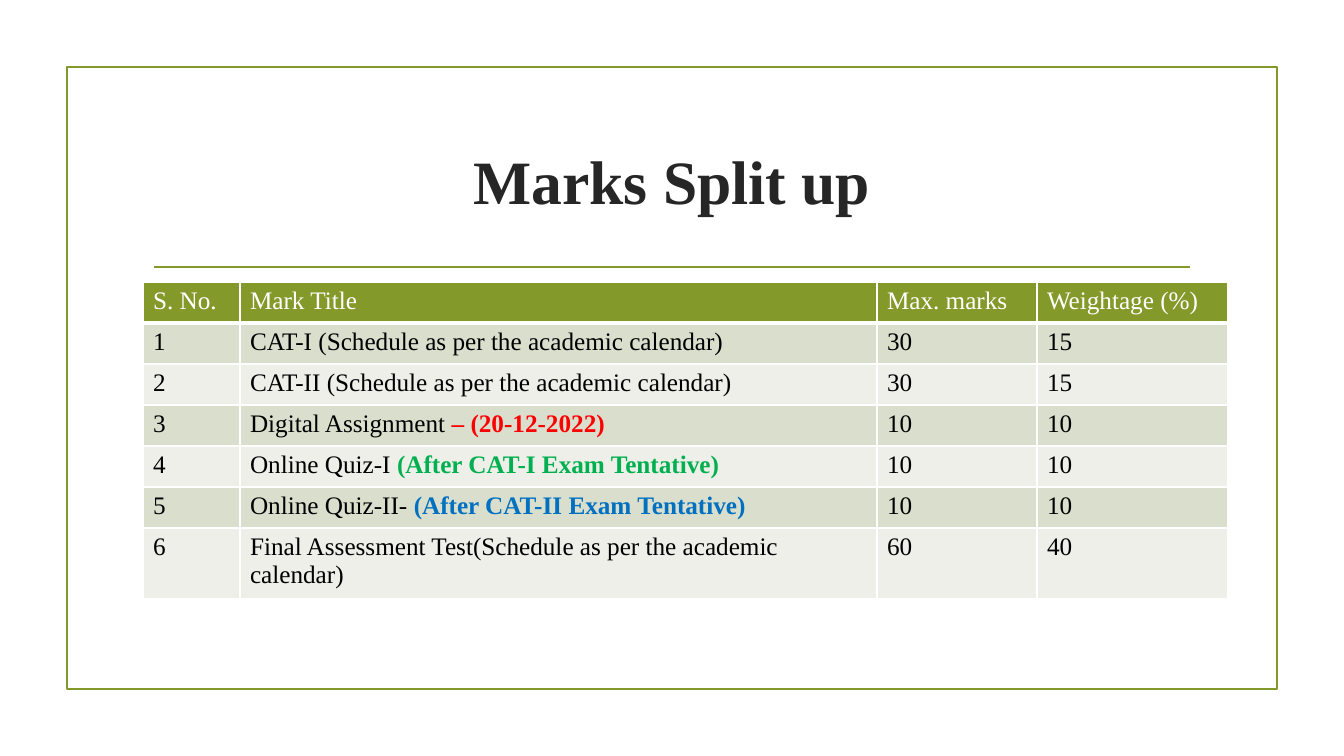
from pptx import Presentation
from pptx.dml.color import RGBColor
from pptx.enum.shapes import MSO_CONNECTOR, MSO_SHAPE
from pptx.enum.text import MSO_ANCHOR, PP_ALIGN
from pptx.oxml.ns import qn
from pptx.util import Emu, Pt
from lxml import etree

RECTANGLE, STRAIGHT = MSO_SHAPE.RECTANGLE, MSO_CONNECTOR.STRAIGHT
MIDDLE, CENTER = MSO_ANCHOR.MIDDLE, PP_ALIGN.CENTER

# Content: a cell is a list of (text, colour name, bold) runs or plain text
TITLE = "Marks Split up"
HEADINGS = ["S. No.", "Mark Title", "Max. marks", "Weightage (%)"]
MARKS = [
    ("CAT-I (Schedule as per the academic calendar)", "30", "15"),
    ("CAT-II (Schedule as per the academic calendar)", "30", "15"),
    ([("Digital Assignment ", "ink", False), ("– (20-12-2022)", "red", True)], "10", "10"),
    ([("Online Quiz-I ", "ink", False),
      ("(After CAT-I Exam Tentative)", "green", True)], "10", "10"),
    ([("Online Quiz-II-", "ink", False),
      (" (After CAT-II Exam Tentative)", "blue", True)], "10", "10"),
    ("Final Assessment Test(Schedule as per the academic calendar)", "60", "40"),
]

THEME = {
    "font": "Times New Roman", "title_size": 44, "table_size": 18,
    "accent": "83992A", "title": "262626", "ink": "000000", "white": "FFFFFF",
    "red": "FF0000", "green": "00B050", "blue": "0070C0",
    "bands": ("D9DECD", "EDEFE8"),
    "line": 1.25, "grid": 1, "header_rule": 3,
}

# Layout in px
SLIDE = (1344, 756)
FRAME = (67, 67, 1210, 622)
RULE = (154, 267, 1190, 267)
TITLE_BOX = (143, 108, 1058, 144)
TABLE_LEFT, TABLE_TOP, ROW_HEIGHT = 143, 282, 41
COLUMN_WIDTHS = (97, 637, 160, 191)
EMU_PER_PX = 914400 / 100.8


def px(*lengths):
    return [Emu(round(length * EMU_PER_PX)) for length in lengths]


def rgb(value):
    return RGBColor.from_string(value)


def add_run(paragraph, text, color, size, bold=False):
    run = paragraph.add_run()
    run.text = text
    run.font.name = THEME["font"]
    run.font.size = Pt(size)
    run.font.bold = bold
    run.font.color.rgb = rgb(color)


def add_borders(cell, bottom_width):
    properties = cell._tc.get_or_add_tcPr()
    for side in "LRTB":
        width = bottom_width if side == "B" else THEME["grid"]
        border = etree.SubElement(properties, qn(f"a:ln{side}"), w=str(Pt(width)))
        fill = etree.SubElement(border, qn("a:solidFill"))
        etree.SubElement(fill, qn("a:srgbClr"), val=THEME["white"])


def fill_cell(cell, content, color, background, bottom_width):
    add_borders(cell, bottom_width)
    cell.fill.solid()
    cell.fill.fore_color.rgb = rgb(background)
    runs = [(content, color, False)] if isinstance(content, str) else content
    for text, color_name, bold in runs:
        add_run(cell.text_frame.paragraphs[0], text, THEME[color_name],
                THEME["table_size"], bold)


def add_frame(shapes):
    frame = shapes.add_shape(RECTANGLE, *px(*FRAME))
    frame.shadow.inherit = False
    frame.fill.background()
    rule = shapes.add_connector(STRAIGHT, *px(*RULE))
    etree.SubElement(rule._element.spPr, qn("a:effectLst"))
    for outlined in (frame, rule):
        outlined.line.color.rgb = rgb(THEME["accent"])
        outlined.line.width = Pt(THEME["line"])


def add_title(shapes):
    text_frame = shapes.add_textbox(*px(*TITLE_BOX)).text_frame
    text_frame.word_wrap = True
    text_frame.vertical_anchor = MIDDLE
    heading = text_frame.paragraphs[0]
    heading.alignment = CENTER
    add_run(heading, TITLE, THEME["title"], THEME["title_size"], True)


def add_marks_table(shapes):
    row_count = len(MARKS) + 1
    place = px(TABLE_LEFT, TABLE_TOP, sum(COLUMN_WIDTHS), ROW_HEIGHT * row_count)
    table = shapes.add_table(row_count, len(HEADINGS), *place).table
    for column, width in zip(table.columns, px(*COLUMN_WIDTHS)):
        column.width = width
    for row in table.rows:
        row.height = px(ROW_HEIGHT)[0]
    for col, heading in enumerate(HEADINGS):
        fill_cell(table.cell(0, col), heading, "white", THEME["accent"],
                  THEME["header_rule"])
    for number, mark in enumerate(MARKS, start=1):
        band = THEME["bands"][(number - 1) % 2]
        for col, content in enumerate((str(number), *mark)):
            fill_cell(table.cell(number, col), content, "ink", band, THEME["grid"])


def main():
    deck = Presentation()
    deck.slide_width, deck.slide_height = px(*SLIDE)
    shapes = deck.slides.add_slide(deck.slide_layouts[6]).shapes
    add_frame(shapes)
    add_title(shapes)
    add_marks_table(shapes)
    deck.save("out.pptx")


if __name__ == "__main__":
    main()
